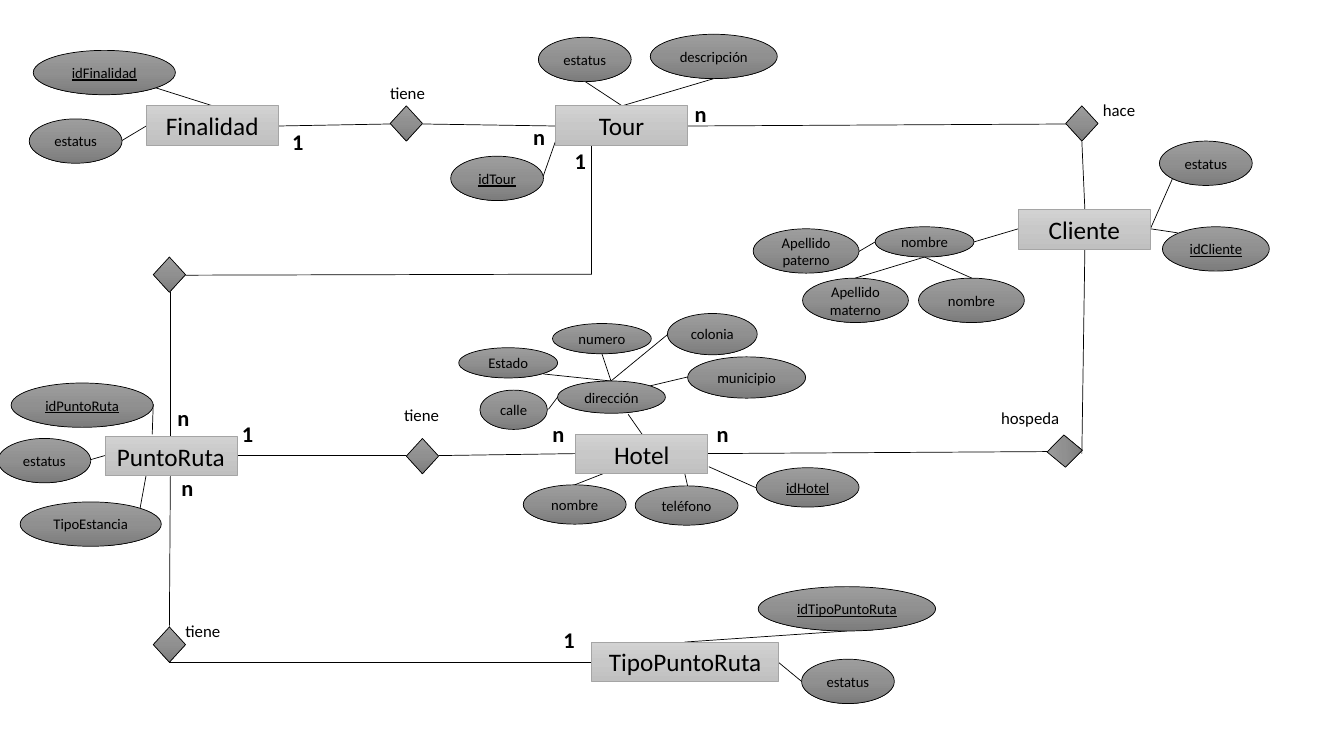
import copy

import pptx
import pptx.dml.color
import pptx.enum.shapes
import pptx.enum.text
import pptx.oxml
import pptx.oxml.ns
import pptx.util

PX = 9144  # 100 px to the inch
COLORS = {
    "ink": "000000",
    "edge": "A5A5A5",
    "light": ["D2D2D2", "C8C8C8", "C0C0C0"],
    "dark": ["9D9D9D", "909090", "7C7C7C"],
}
FONTS = {
    "entity": {"name": "Calibri", "size": pptx.util.Pt(18)},
    "field": {"name": "Calibri", "size": pptx.util.Pt(10.5)},
    "key": {"name": "Calibri", "size": pptx.util.Pt(10.5), "underline": True},
    "verb": {"name": "Calibri", "size": pptx.util.Pt(12)},
    "count": {"name": "Calibri", "size": pptx.util.Pt(16), "bold": True},
}
FRAME = {
    "word_wrap": True,
    "margin_left": 0,
    "margin_right": 0,
    "margin_top": 0,
    "margin_bottom": 0,
    "vertical_anchor": pptx.enum.text.MSO_ANCHOR.MIDDLE,
}
LABEL = {
    "word_wrap": False,
    "auto_size": pptx.enum.text.MSO_AUTO_SIZE.SHAPE_TO_FIT_TEXT,
}
KINDS = pptx.enum.shapes.MSO_SHAPE

# text, left, top, width; all entities are 39 high
ENTITIES = [
    ("Finalidad", 145, 105, 131), ("Tour", 551, 105, 131),
    ("Cliente", 1010, 208, 131), ("Hotel", 571, 431, 131),
    ("PuntoRuta", 104, 433, 131), ("TipoPuntoRuta", 587, 637, 185),
]
# left, top, rotation
BONDS = [
    (387, 105, 0), (1057, 105, 0), (1040, 430, 267.2),
    (152, 622, 0), (152, 255, 0), (403, 435, 0),
]
# text, left, top, width, height
KEYS = [
    ("idTipoPuntoRuta", 752, 582, 176, 44), ("idPuntoRuta", 11, 380, 141, 44),
    ("idFinalidad", 33, 50, 141, 44), ("idTour", 447, 155, 92, 44),
    ("idCliente", 1153, 225, 106, 44), ("idHotel", 750, 464, 102, 39),
]
FIELDS = [
    ("estatus", 795, 654, 92, 44), ("estatus", -2, 435, 92, 44),
    ("TipoEstancia", 20, 498, 140, 44), ("estatus", 29, 118, 92, 44),
    ("estatus", 534, 37, 92, 44), ("descripción", 645, 34, 126, 44),
    ("estatus", 1150, 140, 92, 44), ("Apellido paterno", 747, 227, 105, 44),
    ("nombre", 868, 225, 98, 30), ("Apellido materno", 796, 276, 105, 44),
    ("nombre", 911, 276, 105, 44), ("calle", 476, 387, 67, 39),
    ("colonia", 662, 311, 89, 41), ("municipio", 682, 354, 117, 41),
    ("numero", 548, 321, 98, 30), ("Estado", 455, 345, 98, 30),
    ("dirección", 553, 378, 107, 32), ("nombre", 519, 481, 102, 39),
    ("teléfono", 630, 482, 102, 39),
]
# text, left, top, width
VERBS = [
    ("hospeda", 983, 400, 79), ("hace", 1084, 94, 53), ("tiene", 377, 77, 55),
    ("tiene", 391, 397, 55), ("tiene", 174, 611, 55),
]
# text, left, top
COUNTS = [
    ("n", 519, 117), ("n", 679, 94), ("n", 701, 412), ("n", 166, 396),
    ("n", 538, 412), ("n", 170, 465), ("1", 549, 616), ("1", 230, 412),
    ("1", 560, 141), ("1", 280, 122),
]
# x and y of each end
LINKS = [
    # between entities
    (551, 125, 419, 123), (387, 123, 276, 125), (682, 125, 1062, 123),
    (1073, 140, 1076, 208), (1076, 247, 1073, 450), (1039, 448, 702, 450),
    (587, 657, 168, 657), (169, 471, 168, 622), (169, 433, 169, 278),
    (184, 273, 587, 272), (587, 272, 587, 144), (235, 452, 403, 452),
    (435, 452, 571, 450),
    # TipoPuntoRuta, PuntoRuta, Finalidad
    (840, 626, 679, 637), (772, 657, 795, 676), (145, 471, 139, 504),
    (104, 452, 90, 456), (151, 431, 152, 401), (145, 125, 120, 140),
    (211, 105, 154, 87),
    # Tour, Cliente
    (551, 140, 538, 177), (617, 105, 579, 80), (617, 105, 708, 78),
    (1141, 227, 1163, 177), (1141, 227, 1168, 231), (868, 240, 851, 250),
    (917, 255, 848, 276), (917, 255, 964, 276), (1010, 227, 966, 240),
    # Hotel
    (637, 431, 623, 411), (553, 394, 544, 406), (606, 378, 597, 351),
    (606, 378, 539, 371), (606, 378, 662, 332), (644, 383, 682, 374),
    (598, 470, 570, 481), (679, 469, 682, 482), (703, 463, 750, 484),
]


def scale(*sizes):
    return [size * PX for size in sizes]


def paint(name):
    return pptx.dml.color.RGBColor.from_string(name)


def apply(target, values):
    for name, value in values.items():
        setattr(target, name, value)


def stroke(line, color):
    line.color.rgb = paint(color)
    line.width = pptx.util.Pt(0.5)


def shade(shape, tones):
    """Fill from top to bottom with evenly spaced tones."""
    fill = shape.fill
    fill.gradient()
    fill.gradient_angle = 270
    stops = shape.element.spPr.find(".//" + pptx.oxml.ns.qn("a:gsLst"))
    stops.append(copy.deepcopy(stops[0]))
    for index, (stop, tone) in enumerate(zip(fill.gradient_stops, tones)):
        stop.position = index / 2
        stop.color.rgb = paint(tone)


def write(frame, text, style):
    run = frame.paragraphs[0].add_run()
    run.text = text
    apply(run.font, FONTS[style])
    run.font.color.rgb = paint(COLORS["ink"])


def add_node(slide, kind, box, tones, edge, text="", style=""):
    shape = slide.shapes.add_shape(kind, *scale(*box))
    shape.shadow.inherit = False
    shade(shape, COLORS[tones])
    stroke(shape.line, COLORS[edge])
    if text:
        apply(shape.text_frame, FRAME)
        write(shape.text_frame, text, style)
        shape.text_frame.paragraphs[0].alignment = pptx.enum.text.PP_ALIGN.CENTER
    return shape


def add_label(slide, text, box, style):
    frame = slide.shapes.add_textbox(*scale(*box)).text_frame
    apply(frame, LABEL)
    write(frame, text, style)


def add_link(slide, ends):
    kind = pptx.enum.shapes.MSO_CONNECTOR.STRAIGHT
    link = slide.shapes.add_connector(kind, *scale(*ends))
    stroke(link.line, COLORS["ink"])
    effect = pptx.oxml.ns.qn("a:effectLst")
    link.element.spPr.append(link.element.makeelement(effect, {}))


def main():
    deck = pptx.Presentation()
    deck.slide_width, deck.slide_height = scale(1333, 750)
    slide = deck.slides.add_slide(deck.slide_layouts[6])
    for ends in LINKS:
        add_link(slide, ends)
    for text, left, top, width in ENTITIES:
        box = left, top, width, 39
        add_node(slide, KINDS.RECTANGLE, box, "light", "edge", text, "entity")
    for left, top, turn in BONDS:
        bond = add_node(slide, KINDS.DIAMOND, (left, top, 32, 35), "dark", "ink")
        bond.rotation = turn
    for style, group in (("key", KEYS), ("field", FIELDS)):
        for text, *box in group:
            add_node(slide, KINDS.OVAL, box, "dark", "ink", text, style)
    for text, left, top, width in VERBS:
        add_label(slide, text, (left, top, width, 30), "verb")
    for text, left, top in COUNTS:
        add_label(slide, text, (left, top, 32, 37), "count")
    deck.save("out.pptx")


if __name__ == "__main__":
    main()
